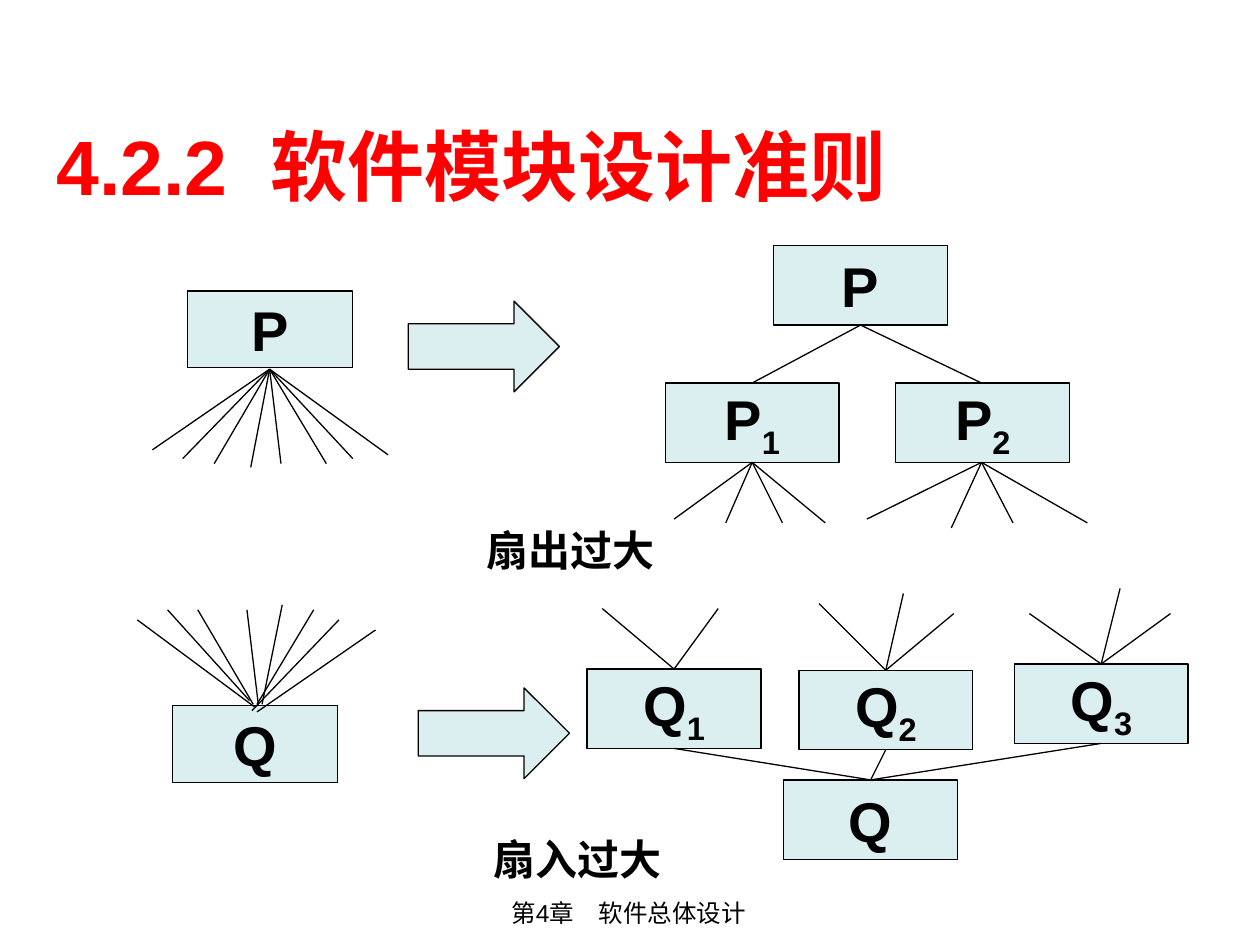
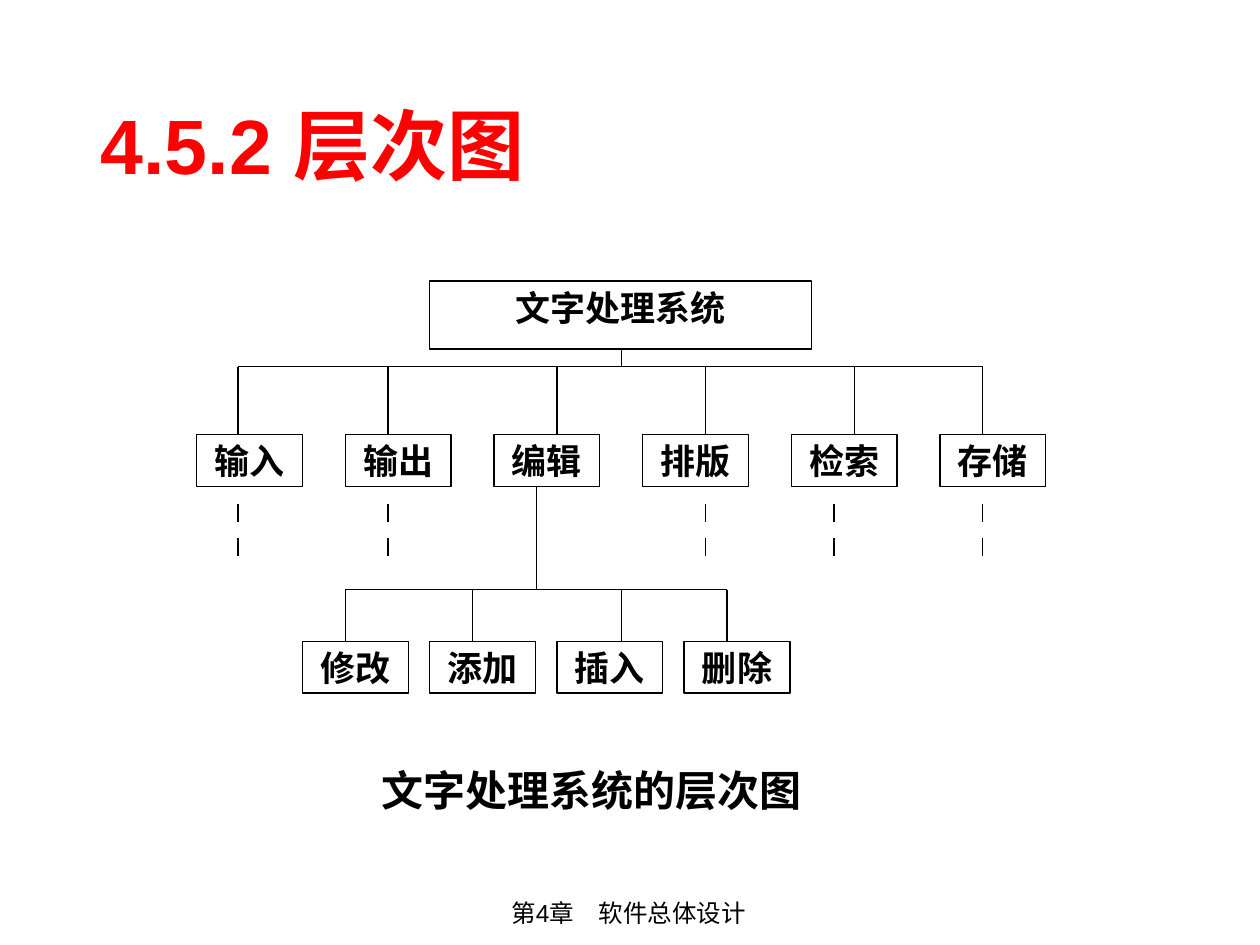
from dataclasses import dataclass

from lxml.etree import SubElement
from pptx import Presentation
from pptx.dml.color import RGBColor
from pptx.enum.shapes import MSO_CONNECTOR, MSO_SHAPE
from pptx.enum.text import MSO_ANCHOR, MSO_AUTO_SIZE, PP_ALIGN
from pptx.oxml.ns import qn
from pptx.util import Pt

PX = 9144  # EMU in one px, 100 px to the inch


@dataclass(frozen=True)
class Theme:
    title_color: RGBColor = RGBColor(0xFF, 0x00, 0x00)
    ink: RGBColor = RGBColor(0x00, 0x00, 0x00)
    paper: RGBColor = RGBColor(0xFF, 0xFF, 0xFF)
    module_fill: RGBColor = RGBColor(0xBB, 0xE0, 0xE3)
    sans: str = "Arial"
    serif: str = "Times New Roman"
    title_size: int = 44
    module_size: int = 32
    caption_size: int = 24
    node_size: int = 20
    footer_size: int = 14
    line_width: float = 0.75


theme = Theme()


def add_block(page, preset, bounds, fill, opacity=100):
    """Add an outlined preset shape; bounds are left, top, width, height in px."""
    block = page.shapes.add_shape(preset, *(length * PX for length in bounds))
    block.shadow.inherit = False
    block.fill.solid()
    block.fill.fore_color.rgb = fill
    if opacity < 100:
        color = block._element.spPr.find(qn("a:solidFill"))[0]
        SubElement(color, qn("a:alpha")).set("val", str(opacity * 1000))
    block.line.color.rgb = theme.ink
    block.line.width = Pt(theme.line_width)
    return block


def write(box, text, size, subscript="", font=theme.sans, color=theme.ink, bold=True,
          align=PP_ALIGN.LEFT, anchor=MSO_ANCHOR.TOP, margins=(10, 5), wrap=True):
    """Put one paragraph into a box; margins are horizontal and vertical px."""
    frame = box.text_frame
    frame.auto_size = MSO_AUTO_SIZE.NONE
    frame.word_wrap = wrap
    frame.vertical_anchor = anchor
    frame.margin_left = frame.margin_right = margins[0] * PX
    frame.margin_top = frame.margin_bottom = margins[1] * PX
    para = frame.paragraphs[0]
    para.alignment = align
    for part in filter(None, (text, subscript)):
        span = para.add_run()
        span.text = part
        span.font.name = font
        span.font.size = Pt(size)
        span.font.bold = bold
        span.font.color.rgb = color
    if subscript:
        span._r.get_or_add_rPr().set("baseline", "-25000")


deck = Presentation()
deck.slide_width, deck.slide_height = 1000 * PX, 750 * PX
title_only = deck.slide_layouts[5]

# Titles and footers
pages = []
for title, bounds in (
    ("4.2.2  软件模块设计准则", (35, 83, 900, 95)),
    ("4.5.2 层次图", (70, 78, 843, 72)),
):
    page = deck.slides.add_slide(title_only)
    heading = page.shapes.title
    heading.left, heading.top, heading.width, heading.height = (n * PX for n in bounds)
    write(heading, title, theme.title_size, color=theme.title_color,
          anchor=MSO_ANCHOR.MIDDLE)
    footer = page.shapes.add_textbox(235 * PX, 708 * PX, 528 * PX, 34 * PX)
    write(footer, "第4章　软件总体设计", theme.footer_size, bold=False,
          align=PP_ALIGN.CENTER)
    pages.append(page)
fan_page, hierarchy_page = pages

# Fan-out and fan-in: modules, arrows and captions
for letter, number, *bounds in (
    ("P", "", 149, 231, 131, 61),
    ("P", "", 614, 195, 138, 63),
    ("P", "1", 528, 304, 138, 63),
    ("P", "2", 711, 304, 138, 63),
    ("Q", "", 137, 560, 131, 61),
    ("Q", "", 622, 619, 138, 63),
    ("Q", "1", 466, 531, 138, 63),
    ("Q", "2", 634, 532, 138, 63),
    ("Q", "3", 805, 527, 138, 63),
):
    module = add_block(fan_page, MSO_SHAPE.RECTANGLE, bounds, theme.module_fill, 50)
    write(module, letter, theme.module_size, number, align=PP_ALIGN.CENTER,
          anchor=MSO_ANCHOR.MIDDLE, margins=(0, 0))

for left, top in ((324, 239), (332, 546)):
    add_block(fan_page, MSO_SHAPE.RIGHT_ARROW, (left, top, 120, 72),
              theme.module_fill, 50)

for text, left, top in (("扇出过大", 376, 411), ("扇入过大", 382, 657)):
    caption = fan_page.shapes.add_textbox(left * PX, top * PX, 153 * PX, 50 * PX)
    write(caption, text, theme.caption_size, wrap=False)

# Each fan joins one point to several tips
fans = (
    ((214, 293), ((121, 357), (145, 364), (170, 368), (199, 371),
                  (223, 368), (259, 368), (280, 364), (308, 361))),
    ((683, 258), ((597, 304), (779, 304))),
    ((597, 367), ((535, 412), (576, 415), (621, 415), (655, 415))),
    ((779, 367), ((688, 412), (755, 419), (804, 415), (863, 415))),
    ((691, 619), ((535, 594), (703, 595), (874, 590))),
    ((535, 531), ((478, 483), (570, 483))),
    ((703, 532), ((650, 479), (717, 471), (757, 487))),
    ((874, 527), ((817, 487), (889, 467), (929, 487))),
)
fan_lines = [(*apex, *tip) for apex, tips in fans for tip in tips]
fan_lines += [
    (298, 500, 204, 565), (269, 492, 200, 564), (249, 484, 204, 559),
    (224, 480, 208, 559), (196, 484, 205, 559), (157, 484, 201, 559),
    (133, 484, 198, 556), (109, 492, 202, 561),
]

# Hierarchy: the system, its functions and the editing commands
functions = ("输入", "输出", "编辑", "排版", "检索", "存储")
commands = ("修改", "添加", "插入", "删除")
nodes = [("文字处理系统", (341, 223, 303, 54))]
nodes += [(name, (156 + 118 * i, 345, 84, 41)) for i, name in enumerate(functions)]
nodes += [(name, (240 + 101 * i, 509, 84, 41)) for i, name in enumerate(commands)]
for name, bounds in nodes:
    node = add_block(hierarchy_page, MSO_SHAPE.RECTANGLE, bounds, theme.paper)
    write(node, name, theme.node_size, font=theme.serif, align=PP_ALIGN.CENTER,
          margins=(9, 4))

caption = hierarchy_page.shapes.add_textbox(303 * PX, 607 * PX, 357 * PX, 40 * PX)
write(caption, "文字处理系统的层次图", theme.caption_size, margins=(0, 0))

hierarchy_lines = []
for trunk_x, trunk_top, bus_y, drop_bottom, drops in (
    (493, 277, 291, 345, (189, 308, 442, 560, 678, 780)),
    (426, 386, 468, 509, (274, 375, 493, 577)),
):
    hierarchy_lines.append((trunk_x, trunk_top, trunk_x, bus_y))
    hierarchy_lines.append((drops[0], bus_y, drops[-1], bus_y))
    hierarchy_lines += [(x, bus_y, x, drop_bottom) for x in drops]
hierarchy_lines += [(x, top, x, top + 14)
                    for x in (189, 308, 560, 662, 780) for top in (400, 427)]

# Connecting lines of both pages
for page, lines in ((fan_page, fan_lines), (hierarchy_page, hierarchy_lines)):
    for ends in lines:
        line = page.shapes.add_connector(MSO_CONNECTOR.STRAIGHT, *(n * PX for n in ends))
        line.line.color.rgb = theme.ink
        line.line.width = Pt(theme.line_width)
        SubElement(line._element.spPr, qn("a:effectLst"))

deck.save("out.pptx")
